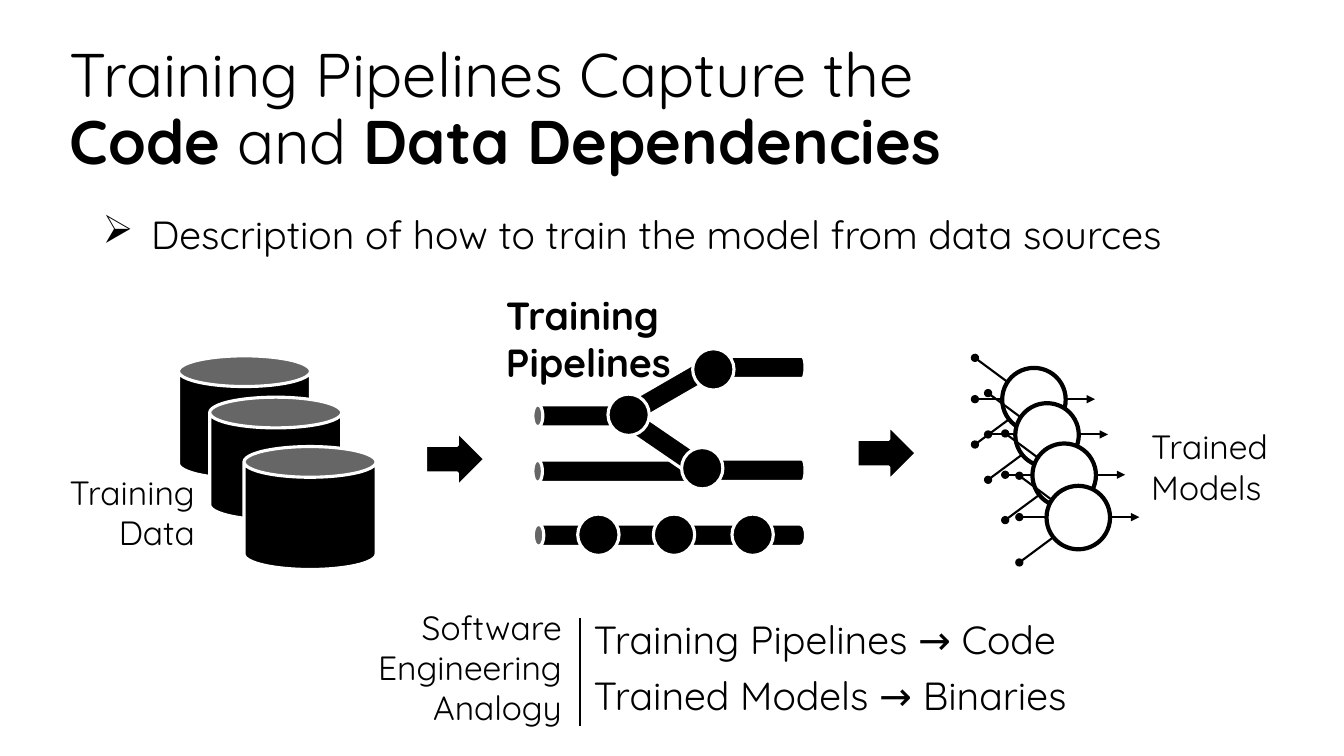
from dataclasses import dataclass

from lxml import etree
from pptx import Presentation
from pptx import util as u
from pptx.dml import color
from pptx.enum import shapes, text
from pptx.oxml import ns

SHAPE = shapes.MSO_SHAPE
LEFT, RIGHT = text.PP_ALIGN.LEFT, text.PP_ALIGN.RIGHT


@dataclass(frozen=True)
class Theme:
    font: str = "Quicksand"
    ink: str = "000000"
    paper: str = "FFFFFF"
    title: float = 44
    body: float = 28
    label: float = 24
    outline: float = 2.25
    ring: float = 3
    wire: float = 1.5


@dataclass(frozen=True)
class Span:
    words: str
    bold: bool = False


@dataclass(frozen=True)
class Pipe:
    left: float
    top: float
    length: float = 1.03
    turn: float = 270
    cap: float = 0.25


@dataclass(frozen=True)
class Point:
    x: float
    y: float


THEME = Theme()
PIPE_WIDTH = 0.22
JOINT = 0.41
NEURON = 0.63

UPPER_PIPES = [
    Pipe(7.36, 4.15),
    Pipe(5.69, 3.61, cap=0.451),
    Pipe(6.51, 3.37, turn=240),
    Pipe(7.36, 3.13),
    Pipe(6.05, 3.8, length=1.75, cap=0.431),
    Pipe(6.46, 3.87, turn=304.4),
]
UPPER_JOINTS = [Point(6.87, 3.46), Point(6.03, 3.91), Point(6.76, 4.44)]
LOWER_PIPES = [Pipe(6.53, 3.96, length=2.7, cap=0.471)]
LOWER_JOINTS = [Point(x, 5.1) for x in (5.73, 6.48, 7.26)]
DATABASES = [Point(1.77, 3.53), Point(2.08, 3.94), Point(2.42, 4.43)]
FLOW_ARROWS = [Point(4.24, 4.26), Point(8.52, 4.2)]
NEURONS = [Point(9.94, 3.65), Point(10.07, 4), Point(10.24, 4.4), Point(10.38, 4.82)]


def rgb(value: str) -> color.RGBColor:
    return color.RGBColor.from_string(value)


def write(para, spans: list[Span], *, size: float, align=LEFT,
          spacing: float | None = None, before: float = 0) -> None:
    """Fill a paragraph with spans; a newline becomes a line break."""
    para.alignment = align
    para.space_before = u.Pt(before)
    if spacing:
        para.line_spacing = spacing
    for span in spans:
        for number, line in enumerate(span.words.split("\n")):
            if number:
                para.add_line_break()
            if not line:
                continue
            run = para.add_run()
            run.text = line
            run.font.name = THEME.font
            run.font.size = u.Pt(size)
            run.font.bold = span.bold
            run.font.color.rgb = rgb(THEME.ink)


def add_text(page, left: float, top: float, width: float, height: float,
             paragraphs: list[str], *, size: float, align=LEFT, bold: bool = False,
             before: float = 0, right_inset: float = 0.1):
    box = page.shapes.add_textbox(*map(u.Inches, (left, top, width, height)))
    frame = box.text_frame
    frame.word_wrap = True
    frame.margin_right = u.Inches(right_inset)
    for number, words in enumerate(paragraphs):
        para = frame.add_paragraph() if number else frame.paragraphs[0]
        write(para, [Span(words, bold)], size=size, align=align,
              before=before if number else 0)
    return box


def add_figure(page, kind, left: float, top: float, width: float, height: float, *,
               fill: str = THEME.ink, line: str = THEME.paper,
               weight: float = THEME.outline, turn: float = 0):
    figure = page.shapes.add_shape(kind, *map(u.Inches, (left, top, width, height)))
    figure.shadow.inherit = False
    figure.fill.solid()
    figure.fill.fore_color.rgb = rgb(fill)
    figure.line.color.rgb = rgb(line)
    figure.line.width = u.Pt(weight)
    figure.rotation = turn
    return figure


def add_line(page, start: Point, end: Point, *, head: str = "", tail: str = "") -> None:
    line = page.shapes.add_connector(
        shapes.MSO_CONNECTOR.STRAIGHT,
        *map(u.Inches, (start.x, start.y, end.x, end.y)))
    line.line.color.rgb = rgb(THEME.ink)
    line.line.width = u.Pt(THEME.wire)
    properties = line.line._get_or_add_ln()
    for tag, style in (("a:headEnd", head), ("a:tailEnd", tail)):
        if style:
            etree.SubElement(properties, ns.qn(tag), type=style)
    etree.SubElement(line._element.spPr, ns.qn("a:effectLst"))


def add_pipework(page, pipes: list[Pipe], joints: list[Point]) -> None:
    for pipe in pipes:
        can = add_figure(page, SHAPE.CAN, pipe.left, pipe.top, PIPE_WIDTH,
                         pipe.length, turn=pipe.turn)
        can.adjustments[0] = pipe.cap
    for joint in joints:
        add_figure(page, SHAPE.OVAL, joint.x, joint.y, JOINT, JOINT)


def add_neuron(page, corner: Point) -> None:
    """Draw one output arrow and three inputs behind a ring."""
    def at(x: float, y: float) -> Point:
        return Point(corner.x + x, corner.y + y)

    add_line(page, at(0.27, 0.31), at(0.92, 0.31), tail="triangle")
    for start, end in ((-0.1, 0.33), (0.31, 0.31), (0.76, 0.33)):
        add_line(page, at(-0.27, start), at(0.31, end), head="oval", tail="oval")
    add_figure(page, SHAPE.OVAL, corner.x, corner.y, NEURON, NEURON,
               fill=THEME.paper, line=THEME.ink, weight=THEME.ring)


def add_title(page) -> None:
    title = page.shapes.title
    title.left, title.top, title.width, title.height = map(
        u.Inches, (0.59, 0.2, 11.81, 1.8))
    frame = title.text_frame
    frame.auto_size = text.MSO_AUTO_SIZE.NONE
    frame.vertical_anchor = text.MSO_ANCHOR.MIDDLE
    write(frame.paragraphs[0], [
        Span("Training Pipelines Capture the \n"), Span("Code", True),
        Span(" and "), Span("Data Dependencies", True),
    ], size=THEME.title, spacing=0.9)


def add_description(page) -> None:
    box = add_text(page, 0.9, 2.09, 11.5, 0.92,
                   ["Description of how to train the model from data sources"],
                   size=THEME.body)
    para = box.text_frame.paragraphs[0]
    para.line_spacing = 0.9
    properties = para._p.get_or_add_pPr()
    properties.set("marL", str(u.Inches(0.5)))
    properties.set("indent", str(u.Inches(-0.48)))
    bullet_color = etree.SubElement(properties, ns.qn("a:buClr"))
    etree.SubElement(bullet_color, ns.qn("a:srgbClr"), val=THEME.ink)
    etree.SubElement(properties, ns.qn("a:buChar"), char="➢")


def main() -> None:
    deck = Presentation()
    deck.slide_width, deck.slide_height = u.Inches(13.33), u.Inches(7.5)
    page = deck.slides.add_slide(deck.slide_layouts.get_by_name("Title Only"))
    add_title(page)
    add_description(page)

    add_pipework(page, UPPER_PIPES, UPPER_JOINTS)
    add_pipework(page, LOWER_PIPES, LOWER_JOINTS)
    add_text(page, 0.58, 4.63, 1.45, 0.91, ["Training\nData"],
             size=THEME.label, align=RIGHT)
    for database in DATABASES:
        add_figure(page, SHAPE.CAN, database.x, database.y, 1.31, 1.22)
    add_text(page, 4.92, 2.84, 3.45, 0.57, ["Training Pipelines"],
             size=THEME.body, bold=True, right_inset=1.6)
    for arrow in FLOW_ARROWS:
        add_figure(page, SHAPE.DOWN_ARROW, arrow.x, arrow.y, 0.55, 0.59, turn=270)

    add_text(page, 11.32, 4.18, 1.4, 0.91, ["Trained", "Models"], size=THEME.label)
    for neuron in NEURONS:
        add_neuron(page, neuron)

    add_text(page, 5.79, 6.06, 5.33, 1.13,
             ["Training Pipelines → Code", "Trained Models → Binaries"],
             size=THEME.body, before=6)
    add_text(page, 3.55, 5.97, 2.12, 1.31, ["Software\nEngineering", "Analogy"],
             size=THEME.label, align=RIGHT)
    add_line(page, Point(5.75, 6.13), Point(5.75, 7.2))
    deck.save("out.pptx")


if __name__ == "__main__":
    main()
